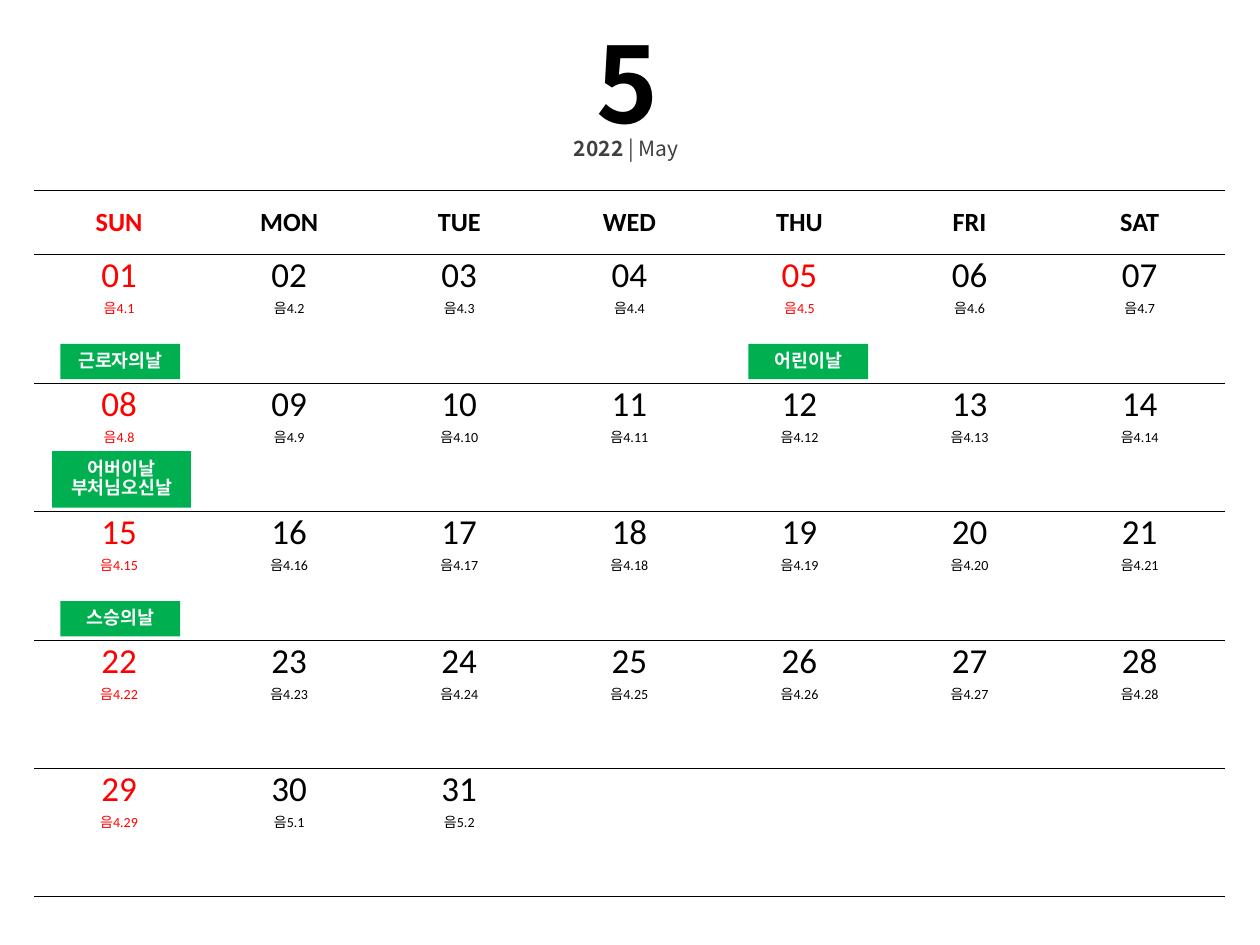
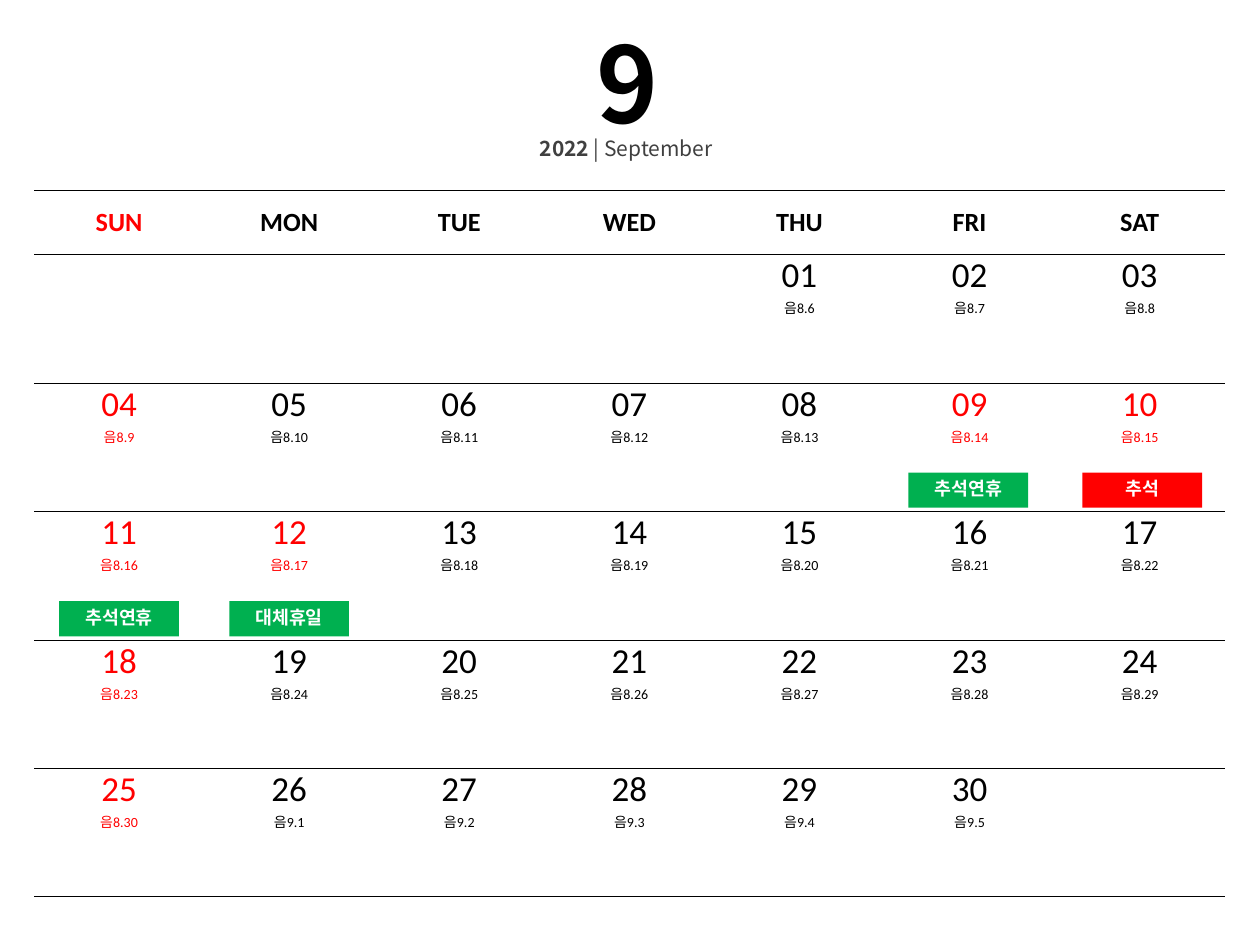
from pptx import Presentation
from pptx.dml.color import RGBColor
from pptx.enum.shapes import MSO_SHAPE
from pptx.enum.text import MSO_ANCHOR, MSO_AUTO_SIZE, PP_ALIGN
from pptx.oxml import parse_xml
from pptx.oxml.ns import nsdecls
from pptx.util import Inches, Pt

RECTANGLE = MSO_SHAPE.RECTANGLE
TOP, MIDDLE = MSO_ANCHOR.TOP, MSO_ANCHOR.MIDDLE
CENTER = PP_ALIGN.CENTER
NO_AUTOFIT = MSO_AUTO_SIZE.NONE

# Shared look
COLORS = {"ink": "000000", "grey": "404040", "red": "FF0000",
          "green": "00B050", "white": "FFFFFF"}
LATIN, KOREAN = "Calibri", "Noto Sans CJK KR"
NO_STYLE = "{2D5ABB26-0587-4C30-8999-92F81FD0307C}"
WEEKDAYS = ["SUN", "MON", "TUE", "WED", "THU", "FRI", "SAT"]

# Calendar grid, in inches
WEEKS = 5
LEFT, GRID_TOP = 0.27, 1.51
COLUMN, HEADER_ROW, WEEK_ROW = 1.35, 0.51, 1.02
HEADING_CENTER = 4.97
LABEL_GAP = 0.03

# first: weekday of day 1; lunar: month, day and length of the lunar month
# labels: day, lines, colour, width, height, shift from the column's centre
MONTHS = [
    {"number": "5", "name": "May", "caption_width": 1.05,
     "first": 0, "days": 31, "lunar": (4, 1, 29), "holidays": [5],
     "labels": [(1, ["근로자의날"], "green", 0.95, 0.28, 0.01),
                (5, ["어린이날"], "green", 0.95, 0.28, 0.07),
                (8, ["어버이날", "부처님오신날"], "green", 1.1, 0.45, 0.02),
                (15, ["스승의날"], "green", 0.95, 0.28, 0.01)]},
    {"number": "9", "name": "September", "caption_width": 1.6,
     "first": 4, "days": 30, "lunar": (8, 6, 30), "holidays": [9, 10, 12],
     "labels": [(9, ["추석연휴"], "green", 0.95, 0.28, -0.01),
                (10, ["추석"], "red", 0.95, 0.28, 0.02),
                (11, ["추석연휴"], "green", 0.95, 0.28, 0),
                (12, ["대체휴일"], "green", 0.95, 0.28, 0)]},
]


def write(para, pieces, size, color, face, spacing=None):
    """Fill a centred paragraph with (text, bold) pieces in one font."""
    para.alignment = CENTER
    para.line_spacing = spacing
    para.font.size = Pt(size)
    para.font.name = face
    para.font.color.rgb = RGBColor.from_string(COLORS[color])
    for text, bold in pieces:
        span = para.add_run()
        span.text = text
        span.font.bold = bold
        # The run carries the font too, so that Korean text gets its own face
        span.font.name = face
        span.font.size = Pt(size)
        span.font.color.rgb = RGBColor.from_string(COLORS[color])
        span.font._element.find("{*}latin").addnext(
            parse_xml(f'<a:ea {nsdecls("a")} typeface="{KOREAN}"/>'))


def rule_cell(cell, top, bottom):
    """Clear a cell's fill and sides, and draw its upper and lower rules."""
    cell.fill.background()
    properties = cell._tc.get_or_add_tcPr()
    for index, (side, width) in enumerate(
            [("L", 0), ("R", 0), ("T", top), ("B", bottom)]):
        paint = (f'<a:solidFill><a:srgbClr val="{COLORS["ink"]}"/></a:solidFill>'
                 if width else "<a:noFill/>")
        properties.insert(index, parse_xml(
            f'<a:ln{side} {nsdecls("a")} w="{Pt(width)}">{paint}</a:ln{side}>'))


deck = Presentation()
deck.slide_width, deck.slide_height = Inches(10), Inches(7.5)
title_only = deck.slide_layouts[5]

for month in MONTHS:
    page = deck.slides.add_slide(title_only)

    # Calendar table
    frame = page.shapes.add_table(
        WEEKS + 1, len(WEEKDAYS), Inches(LEFT), Inches(GRID_TOP),
        Inches(COLUMN * len(WEEKDAYS)), Inches(HEADER_ROW + WEEK_ROW * WEEKS))
    table = frame.table
    table.first_row = table.horz_banding = False
    table._tbl.tblPr.find("{*}tableStyleId").text = NO_STYLE
    for column in table.columns:
        column.width = Inches(COLUMN)
    for index, row in enumerate(table.rows):
        row.height = Inches(WEEK_ROW if index else HEADER_ROW)
        for cell in row.cells:
            rule_cell(cell, 1 if index == 1 else 0.5, 0.5 if index else 1)
            cell.margin_left = cell.margin_right = cell.margin_top = 0
            cell.margin_bottom = 0

    # Weekday names
    for index, weekday in enumerate(WEEKDAYS):
        cell = table.cell(0, index)
        cell.vertical_anchor = MIDDLE
        cell.margin_left = cell.margin_right = cell.margin_top = Inches(0.01)
        write(cell.text_frame.paragraphs[0], [(weekday, True)], 15,
              "ink" if index else "red", LATIN)

    # Days with their lunar dates
    lunar_month, lunar_day, lunar_length = month["lunar"]
    for day in range(1, month["days"] + 1):
        week, weekday = divmod(month["first"] + day - 1, 7)
        color = "red" if weekday == 0 or day in month["holidays"] else "ink"
        text = table.cell(week + 1, weekday).text_frame
        write(text.paragraphs[0], [(f"{day:02}", False)], 20, color, LATIN)
        write(text.add_paragraph(), [(f"음{lunar_month}.{lunar_day}", False)],
              8, color, LATIN)
        lunar_day += 1
        if lunar_day > lunar_length:
            lunar_month, lunar_day = lunar_month + 1, 1

    # Holiday labels, standing on the lower rule of their week
    for day, lines, color, width, height, shift in month["labels"]:
        week, weekday = divmod(month["first"] + day - 1, 7)
        middle = LEFT + COLUMN * (weekday + 0.5) + shift
        bottom = GRID_TOP + HEADER_ROW + WEEK_ROW * (week + 1) - LABEL_GAP
        label = page.shapes.add_shape(
            RECTANGLE, Inches(middle - width / 2), Inches(bottom - height),
            Inches(width), Inches(height))
        label.shadow.inherit = False
        label.fill.solid()
        label.fill.fore_color.rgb = RGBColor.from_string(COLORS[color])
        label.line.fill.background()
        text = label.text_frame
        text.vertical_anchor = MIDDLE
        for index, line in enumerate(lines):
            para = text.add_paragraph() if index else text.paragraphs[0]
            write(para, [(line, True)], 10.5, "white", KOREAN, 0.83)

    # Month number as the title, with the year and month name below
    caption_width = month["caption_width"]
    title = page.shapes.title
    title.left, title.top = Inches(HEADING_CENTER - 0.34), Inches(0.21)
    title.width, title.height = Inches(0.7), Inches(1.11)
    caption = page.shapes.add_textbox(
        Inches(HEADING_CENTER - caption_width / 2), Inches(1.05),
        Inches(caption_width), Inches(0.3))
    for box, pieces, size, color in [
            (title, [(month["number"], True)], 60, "ink"),
            (caption, [("2022", True), (f" | {month['name']}", False)],
             12, "grey")]:
        text = box.text_frame
        text.word_wrap = False
        text.auto_size = NO_AUTOFIT
        text.vertical_anchor = TOP
        write(text.paragraphs[0], pieces, size, color, KOREAN, 0.9)

deck.save("out.pptx")
